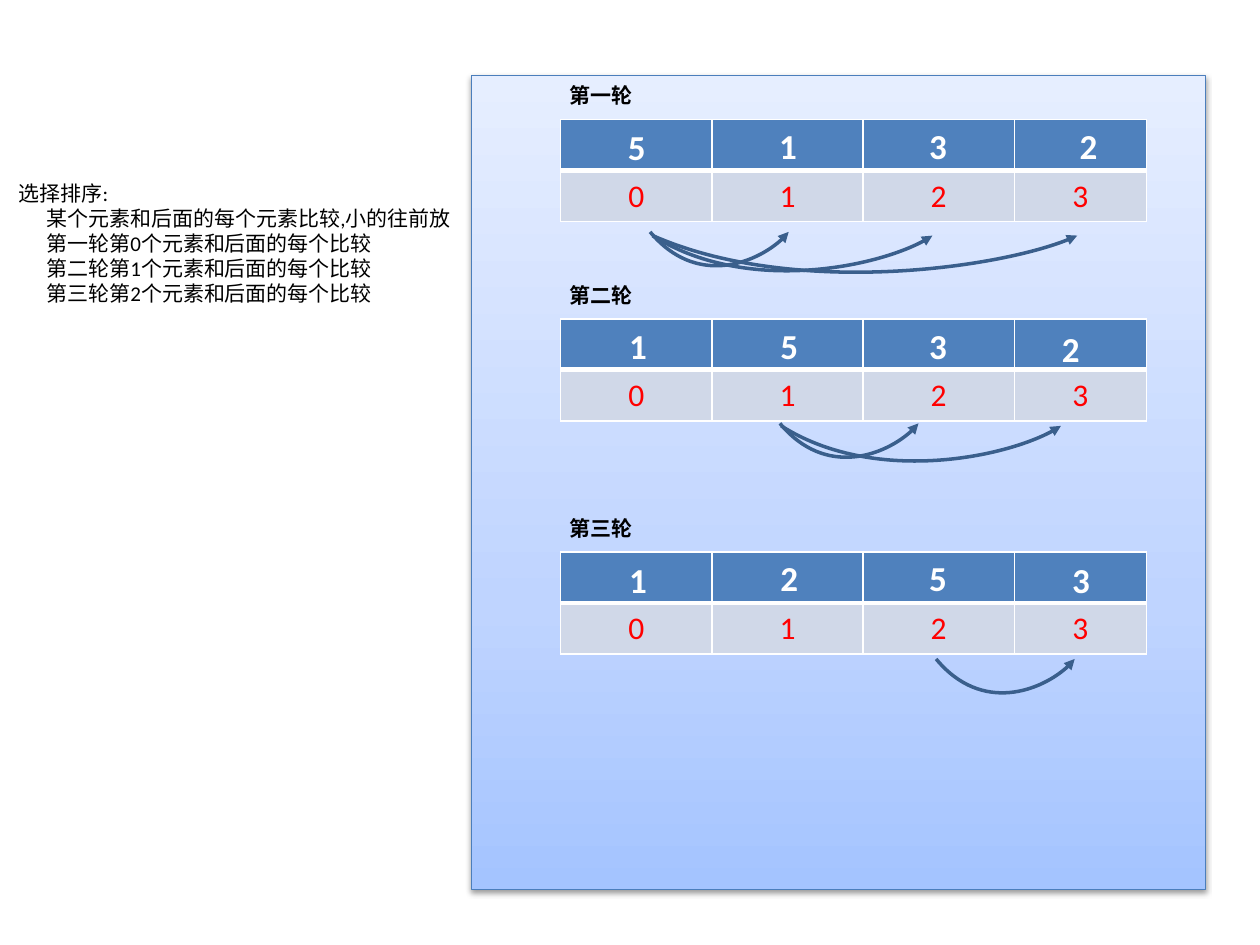
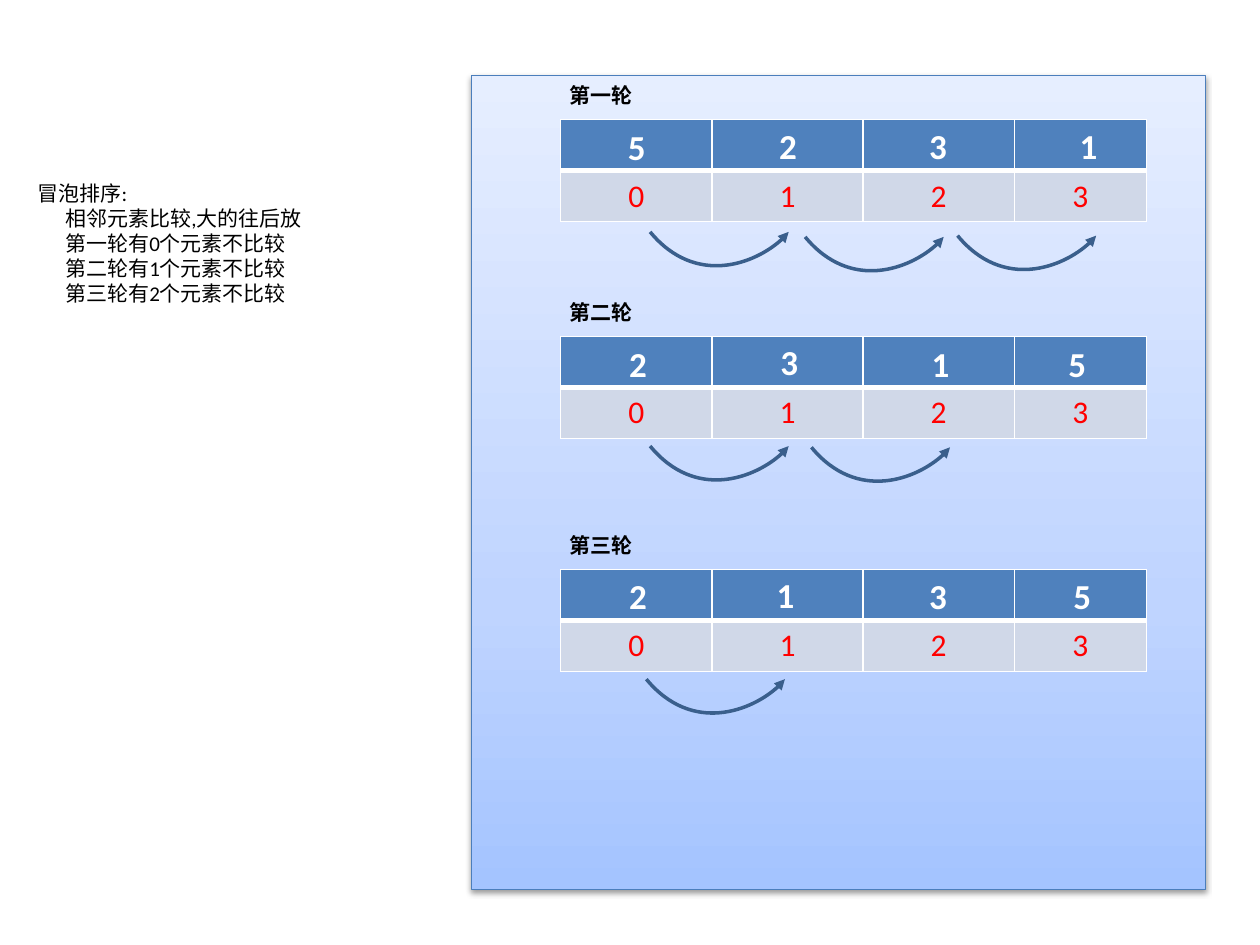
from typing import NamedTuple

from lxml.etree import SubElement
from pptx import Presentation
from pptx.dml.color import RGBColor
from pptx.enum.shapes import MSO_SHAPE
from pptx.enum.text import MSO_AUTO_SIZE, PP_ALIGN
from pptx.oxml.ns import qn
from pptx.slide import Slide
from pptx.util import Emu, Inches, Pt

# Shared look
FONT = "Calibri"
BLACK = RGBColor(0x00, 0x00, 0x00)
WHITE = RGBColor(0xFF, 0xFF, 0xFF)
RED = RGBColor(0xFF, 0x00, 0x00)
HEADER_BLUE = RGBColor(0x4F, 0x81, 0xBD)
INDEX_GRAY = RGBColor(0xD0, 0xD8, 0xE8)
PANEL_LINE = RGBColor(0x4B, 0x7E, 0xBC)
ARROW_BLUE = RGBColor(0x3A, 0x5F, 0x8C)
PANEL_STOPS = (
    (0, RGBColor(0xA4, 0xC4, 0xFF)),
    (35, RGBColor(0xBF, 0xD4, 0xFF)),
    (100, RGBColor(0xE6, 0xEE, 0xFF)),
)

# Grid: the slide is 100 columns by 75 rows of square units
SLIDE_W, SLIDE_H = Inches(10), Inches(7.5)
UNIT = SLIDE_W / 100
TABLE_LEFT = 44.5
COL_WIDTHS = (12, 12, 12, 10.5)
ROW_HEIGHT = 4.05
DIGIT_W, DIGIT_H = 3.1, 4.4
LABEL_LEFT, LABEL_RISE = 44.2, 3.4
NOTE_TOP, NOTE_RIGHT = 13.8, 37.4
ARROW_WIDTHS = {1: 11, 2: 22.2, 3: 33.7}  # by number of columns spanned


class Digit(NamedTuple):
    text: str
    dx: float = 0  # nudge from the middle of the column
    dy: float = 0


class Arrow(NamedTuple):
    left: float
    drop: float  # distance below the table top
    span: int = 1


class Round(NamedTuple):
    label: str
    top: float
    digits: tuple[Digit, ...]
    arrows: tuple[Arrow, ...]


class SortSlide(NamedTuple):
    note_left: float
    heading: str
    steps: tuple[str, ...]
    rounds: tuple[Round, ...]


SELECTION = SortSlide(
    0.5,
    "选择排序:",
    (
        "某个元素和后面的每个元素比较,小的往前放",
        "第一轮第0个元素和后面的每个比较",
        "第二轮第1个元素和后面的每个比较",
        "第三轮第2个元素和后面的每个比较",
    ),
    (
        Round("第一轮", 9.5,
              (Digit("5", -0.1), Digit("1", -0.1, -0.1), Digit("3", -0.2, -0.1), Digit("2", 0.5, -0.1)),
              (Arrow(51.6, 8.9), Arrow(51.8, 9.2, 2), Arrow(51.8, 9.2, 3))),
        Round("第二轮", 25.3,
              (Digit("1"), Digit("5"), Digit("3", -0.2), Digit("2", -0.9, 0.2)),
              (Arrow(61.9, 8.3), Arrow(62, 8.5, 2))),
        Round("第三轮", 43.8,
              (Digit("1"), Digit("2", 0, -0.1), Digit("5", -0.2, -0.1), Digit("3", -0.1)),
              (Arrow(74.3, 8.5),)),
    ),
)

BUBBLE = SortSlide(
    2,
    "冒泡排序:",
    (
        "相邻元素比较,大的往后放",
        "第一轮有0个元素不比较",
        "第二轮有1个元素不比较",
        "第三轮有2个元素不比较",
    ),
    (
        Round("第一轮", 9.5,
              (Digit("5", -0.1), Digit("2", -0.1, -0.1), Digit("3", -0.2, -0.1), Digit("1", 0.5, -0.1)),
              (Arrow(51.6, 8.9), Arrow(63.9, 9.3), Arrow(76, 9.2))),
        Round("第二轮", 26.7,
              (Digit("2"), Digit("3", 0, -0.2), Digit("1"), Digit("5", -0.4)),
              (Arrow(51.6, 8.7), Arrow(64.4, 8.8))),
        Round("第三轮", 45.2,
              (Digit("2", 0, -0.1), Digit("1", -0.3, -0.2), Digit("3", -0.2, -0.1), Digit("5", 0, -0.1)),
              (Arrow(51.3, 8.7),)),
    ),
)


def grid(*units: float) -> list[Emu]:
    """Turn grid units into slide lengths."""
    return [Emu(round(u * UNIT)) for u in units]


def add_text(slide: Slide, box: tuple[float, ...], lines: tuple[str, ...], size: float,
             color: RGBColor, bold: bool = False, wrap: bool = True) -> None:
    """Add a text box; lines after the first get a first-line indent."""
    tf = slide.shapes.add_textbox(*grid(*box)).text_frame
    tf.word_wrap = wrap
    tf.auto_size = MSO_AUTO_SIZE.SHAPE_TO_FIT_TEXT
    tf.text = "\n".join(lines)
    for i, p in enumerate(tf.paragraphs):
        if i:
            p._p.get_or_add_pPr().set("indent", str(Inches(0.22)))
        font = p.runs[0].font
        font.name, font.size, font.bold = FONT, Pt(size), bold
        font.color.rgb = color


def add_panel(slide: Slide) -> None:
    sp = slide.shapes.add_shape(MSO_SHAPE.RECTANGLE, *grid(37.4, 6, 58.3, 64.6))
    sp.line.color.rgb = PANEL_LINE
    sp.line.width = Pt(0.75)
    # Three-stop gradient, darkest at the bottom
    sp.fill.gradient()
    sp.fill.gradient_angle = 90
    stops = sp._element.spPr.find(".//" + qn("a:gsLst"))
    stops.clear()
    for pos, color in PANEL_STOPS:
        gs = SubElement(stops, qn("a:gs"), pos=str(pos * 1000))
        SubElement(gs, qn("a:srgbClr"), val=str(color))
    # Soft shadow straight below
    sp.shadow.inherit = False
    effects = sp._element.spPr.find(qn("a:effectLst"))
    shadow = SubElement(effects, qn("a:outerShdw"), blurRad=str(Pt(3.1)), dist=str(Pt(1.6)),
                        dir="5400000", rotWithShape="0")
    black = SubElement(shadow, qn("a:srgbClr"), val=str(BLACK))
    SubElement(black, qn("a:alpha"), val="38000")


def add_array(slide: Slide, top: float) -> None:
    """Draw the table: an empty header row above a row of indexes."""
    frame = slide.shapes.add_table(
        2, len(COL_WIDTHS), *grid(TABLE_LEFT, top, sum(COL_WIDTHS), 2 * ROW_HEIGHT))
    table = frame.table
    table.horz_banding = False
    for column, width in zip(table.columns, grid(*COL_WIDTHS)):
        column.width = width
    for r, row in enumerate(table.rows):
        for c, cell in enumerate(row.cells):
            edges = {"lnL": 1, "lnR": 1, "lnT": 3 if r else 1, "lnB": 1 if r else 3}
            for edge, width in edges.items():
                ln = SubElement(cell._tc.get_or_add_tcPr(), qn("a:" + edge), w=str(Pt(width)))
                fill = SubElement(ln, qn("a:solidFill"))
                SubElement(fill, qn("a:srgbClr"), val=str(WHITE))
            cell.fill.solid()
            cell.fill.fore_color.rgb = INDEX_GRAY if r else HEADER_BLUE
            if r:
                cell.text = str(c)
                p = cell.text_frame.paragraphs[0]
                p.alignment = PP_ALIGN.CENTER
                font = p.runs[0].font
                font.name, font.size, font.bold = FONT, Pt(18), False
                font.color.rgb = RED


def add_arrow(slide: Slide, arrow: Arrow, table_top: float) -> None:
    """Draw a sagging curve with an arrowhead at its right end."""
    x, y, w = arrow.left, table_top + arrow.drop, ARROW_WIDTHS[arrow.span]
    sag = 4.15 + 0.25 * arrow.span
    start, *rest = [tuple(grid(px, py)) for px, py in (
        (x, y), (x + 0.33 * w, y + sag), (x + 0.85 * w, y + sag / 2), (x + w, y))]
    builder = slide.shapes.build_freeform(*start)
    builder.add_line_segments(rest, close=False)
    sp = builder.convert_to_shape()
    # Turn the three segments into one cubic curve and fit the frame to it
    outline = sp._element.spPr.find(".//" + qn("a:path"))
    segments = outline.findall(qn("a:lnTo"))
    curve = SubElement(outline, qn("a:cubicBezTo"))
    for segment in segments:
        curve.append(segment[0])
        outline.remove(segment)
    sp.height, = grid(0.59 * sag)
    outline.set("h", str(sp.height))
    sp.fill.background()
    sp.shadow.inherit = False
    sp.line.color.rgb = ARROW_BLUE
    sp.line.width = Pt(2)
    SubElement(sp._element.spPr.find(qn("a:ln")), qn("a:tailEnd"), type="triangle")


def add_round(slide: Slide, rnd: Round) -> None:
    add_text(slide, (LABEL_LEFT, rnd.top - LABEL_RISE, 28.7, 3), (rnd.label,), 12, BLACK, bold=True)
    add_array(slide, rnd.top)
    left = TABLE_LEFT
    for digit, width in zip(rnd.digits, COL_WIDTHS):
        box = (left + (width - DIGIT_W) / 2 + digit.dx, rnd.top + digit.dy, DIGIT_W, DIGIT_H)
        add_text(slide, box, (digit.text,), 20, WHITE, bold=True, wrap=False)
        left += width
    for arrow in rnd.arrows:
        add_arrow(slide, arrow, rnd.top)


def main() -> None:
    prs = Presentation()
    prs.slide_width, prs.slide_height = SLIDE_W, SLIDE_H
    for content in (SELECTION, BUBBLE):
        s = prs.slides.add_slide(prs.slide_layouts[6])
        add_panel(s)
        for rnd in content.rounds:
            add_round(s, rnd)
        box = (content.note_left, NOTE_TOP, NOTE_RIGHT - content.note_left, 11.1)
        add_text(s, box, (content.heading, *content.steps), 12, BLACK)
    prs.save("out.pptx")


if __name__ == "__main__":
    main()
